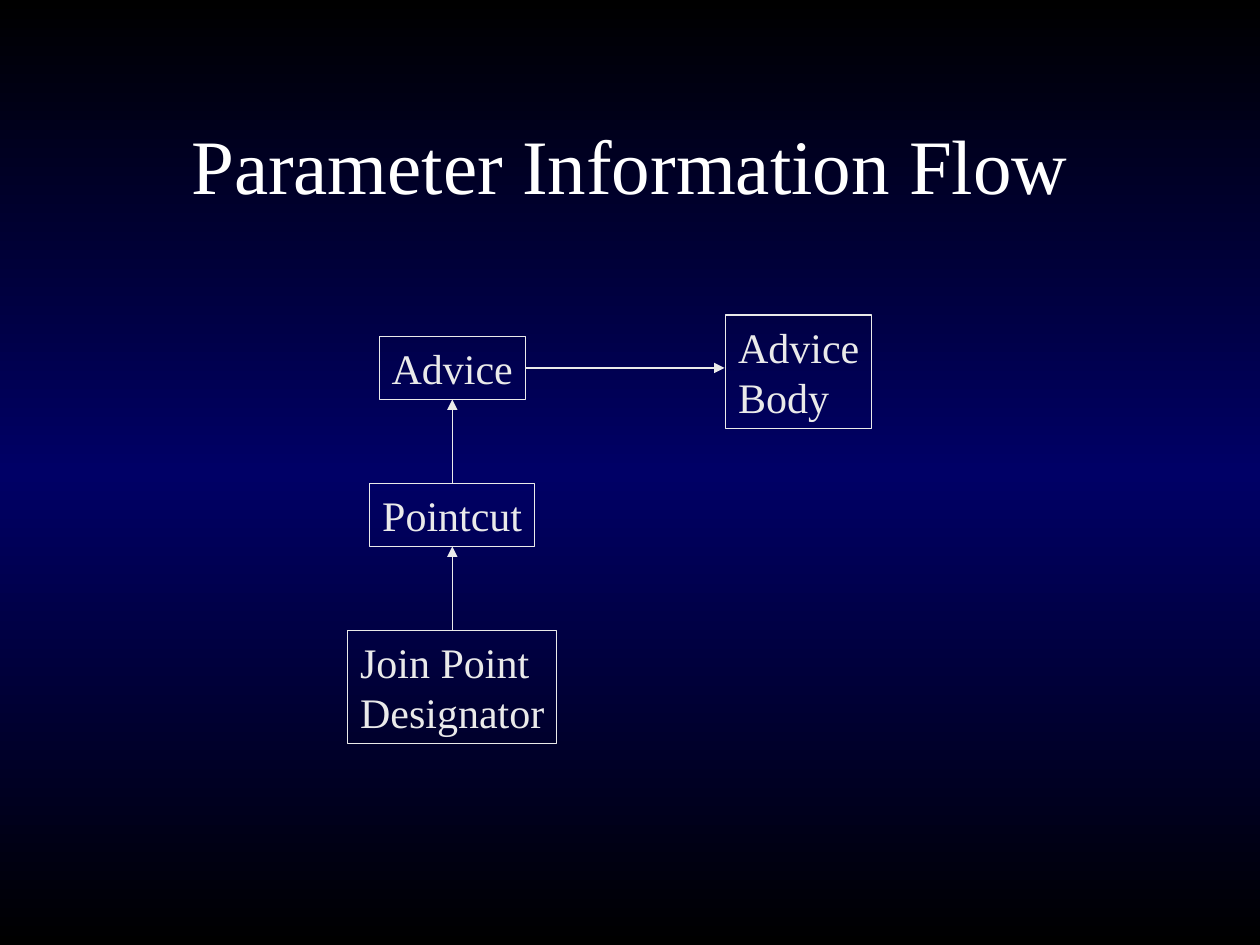
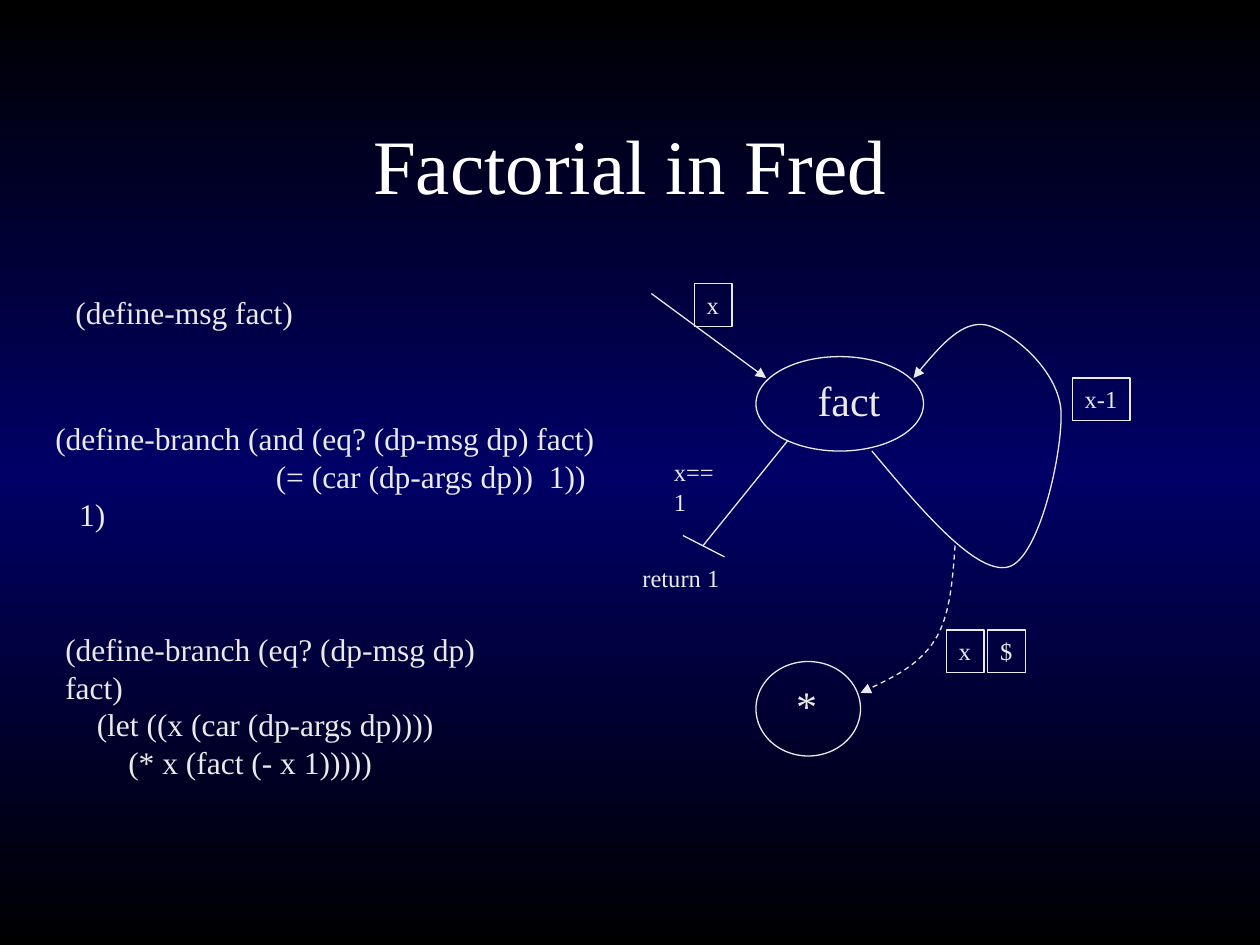
"""Build two slides on parameter flow and on a factorial written in Fred."""
from copy import deepcopy
from dataclasses import dataclass

from lxml.etree import SubElement
from pptx import Presentation
from pptx.dml.color import RGBColor
from pptx.enum.dml import MSO_LINE_DASH_STYLE as Dash
from pptx.enum.shapes import MSO_CONNECTOR as Link, MSO_SHAPE as Preset
from pptx.enum.text import MSO_ANCHOR as Anchor, MSO_AUTO_SIZE as AutoSize, PP_ALIGN as Align
from pptx.oxml.ns import qn
from pptx.util import Inches, Pt


@dataclass(frozen=True)
class Theme:
    font: str = "Times New Roman"
    edge: RGBColor = RGBColor(0x00, 0x00, 0x00)
    middle: RGBColor = RGBColor(0x00, 0x00, 0x66)
    title: RGBColor = RGBColor(0xFF, 0xFF, 0xFF)
    ink: RGBColor = RGBColor(0xEA, 0xEA, 0xEA)
    title_size: int = 44
    node_size: int = 24
    code_size: int = 18
    tag_size: int = 14
    line: float = 0.75


THEME = Theme()
TITLE_AREA = (0.75, 0.67, 8.5, 1.25)

FLOW_TITLE = "Parameter Information Flow"
FLOW_CENTER, FLOW_TOP, FLOW_STEP = 3.59, 2.67, 7 / 6
FLOW_COLUMN = [
    (["Advice"], 1.16, 0.5),
    (["Pointcut"], 1.31, 0.5),
    (["Join Point", "Designator"], 1.66, 0.9),
]
ADVICE_BODY = (["Advice", "Body"], (5.76, 2.5, 1.16, 0.9))
BODY_ENTRY = (5.75, 2.92)

FACT_TITLE = "Factorial in Fred"
CODE_BLOCKS = [
    ((0.5, 2.28, 1.93, 0.4), [("(define-msg fact)", 0)]),
    ((0.34, 3.28, 4.48, 1), [
        ("(define-branch (and (eq? (dp-msg dp) fact)", 0),
        ("(= (car (dp-args dp))  1))", 1.75),
        ("1)", 0.19),
    ]),
    ((0.42, 4.95, 3.97, 1), [
        ("(define-branch (eq? (dp-msg dp) fact)", 0),
        ("(let ((x (car (dp-args dp))))", 0.25),
        ("(* x (fact (- x 1)))))", 0.5),
    ]),
]
STATES = [
    ("fact", (6, 2.83, 1.33, 0.75), (6.39, 2.92, 0.7, 0.5)),
    ("*", (6, 5.25, 0.83, 0.75), (6.22, 5.34, 0.36, 0.5)),
]
NOTES = [("return 1", (5, 4.42, 0.81, 0.34)), ("x==1", (5.25, 3.58, 0.61, 0.34))]
ARGUMENTS = [
    ("x", (5.51, 2.25, 0.3, 0.34)),
    ("x-1", (8.51, 3, 0.46, 0.34)),
    ("x", (7.51, 5, 0.3, 0.34)),
    ("$", (7.84, 5, 0.3, 0.34)),
]
STRAIGHT_LINES = [
    ((5.17, 2.33), (6.08, 3), True),
    ((6.25, 3.5), (5.58, 4.33), False),
    ((5.42, 4.25), (5.75, 4.42), False),
]
RECURSION_LOOP = [
    (6.92, 3.58), (7.33, 4.07), (7.75, 4.56), (8, 4.5), (8.25, 4.44), (8.44, 3.57),
    (8.42, 3.25), (8.39, 2.93), (8.03, 2.63), (7.83, 2.58), (7.64, 2.54), (7.44, 2.77), (7.25, 3),
]
MULTIPLY_BRANCH = [
    (7.58, 4.33), (7.56, 4.61), (7.54, 4.89), (7.42, 5.08),
    (7.29, 5.28), (7.06, 5.39), (6.83, 5.5),
]


def inches(values):
    return [Inches(value) for value in values]


def write(box, lines, size=THEME.node_size, color=THEME.ink, align=Align.LEFT,
          anchor=Anchor.TOP, wrap=False):
    frame = box.text_frame
    frame.word_wrap = wrap
    frame.auto_size = AutoSize.NONE if wrap else AutoSize.SHAPE_TO_FIT_TEXT
    frame.vertical_anchor = anchor
    for index, (text, indent) in enumerate(lines):
        para = frame.add_paragraph() if index else frame.paragraphs[0]
        para.alignment = align
        if indent:
            properties = para._p.get_or_add_pPr()
            properties.set("marL", str(Inches(indent)))
            properties.set("indent", "0")
        span = para.add_run()
        span.text = text
        span.font.name = THEME.font
        span.font.size = Pt(size)
        span.font.color.rgb = color


def add_label(page, area, lines, **style):
    write(page.shapes.add_textbox(*inches(area)), lines, **style)


def draw_line(shape, arrow=False, dashed=False):
    shape.line.color.rgb = THEME.ink
    shape.line.width = Pt(THEME.line)
    if dashed:
        shape.line.dash_style = Dash.DASH
    properties = shape.element.spPr
    if arrow:
        SubElement(properties.find(qn("a:ln")), qn("a:tailEnd"), type="triangle")
    SubElement(properties, qn("a:effectLst"))


def add_outline(page, preset, area):
    shape = page.shapes.add_shape(preset, *inches(area))
    shape.fill.background()
    draw_line(shape)
    return shape


def add_box(page, area, texts, **style):
    box = add_outline(page, Preset.RECTANGLE, area)
    write(box, [(text, 0) for text in texts], **style)
    return box


def add_line(page, start, end, arrow=True, source=None, target=None):
    line = page.shapes.add_connector(Link.STRAIGHT, *inches(start + end))
    if source:
        line.begin_connect(*source)
    if target:
        line.end_connect(*target)
    draw_line(line, arrow)


def add_curve(page, points, dashed=False):
    start, *rest = [inches(point) for point in points]
    builder = page.shapes.build_freeform(*start)
    builder.add_line_segments(rest, close=False)
    curve = builder.convert_to_shape()
    curve.fill.background()
    outline = curve.element.find(".//" + qn("a:path"))
    segments = outline.findall(qn("a:lnTo"))
    for first in range(0, len(segments), 3):
        bezier = SubElement(outline, qn("a:cubicBezTo"))
        for segment in segments[first:first + 3]:
            bezier.append(segment[0])
            outline.remove(segment)
    draw_line(curve, arrow=True, dashed=dashed)


def paint_background(master):
    fill = master.background.fill
    fill.gradient()
    fill.gradient_angle = 90
    stop_list = next(master.element.iter(qn("a:gsLst")))
    stop_list.append(deepcopy(stop_list[0]))
    colors = (THEME.edge, THEME.middle, THEME.edge)
    for index, (stop, color) in enumerate(zip(fill.gradient_stops, colors)):
        stop.position = index / 2
        stop.color.rgb = color


def add_page(deck, title):
    page = deck.slides.add_slide(deck.slide_layouts[6])
    add_label(page, TITLE_AREA, [(title, 0)], size=THEME.title_size, color=THEME.title,
              align=Align.CENTER, anchor=Anchor.MIDDLE, wrap=True)
    return page


def build_flow(deck):
    page = add_page(deck, FLOW_TITLE)
    column = []
    for row, (texts, width, height) in enumerate(FLOW_COLUMN):
        area = (FLOW_CENTER - width / 2, FLOW_TOP + row * FLOW_STEP, width, height)
        column.append(add_box(page, area, texts))
    texts, area = ADVICE_BODY
    add_box(page, area, texts)
    for upper, lower in zip(column, column[1:]):
        add_line(page, (0, 0), (0, 0), source=(lower, 0), target=(upper, 2))
    add_line(page, BODY_ENTRY, BODY_ENTRY, source=(column[0], 3))


def build_factorial(deck):
    page = add_page(deck, FACT_TITLE)
    for area, lines in CODE_BLOCKS:
        add_label(page, area, lines, size=THEME.code_size)
    for name, ring, area in STATES:
        add_outline(page, Preset.OVAL, ring)
        add_label(page, area, [(name, 0)])
    for start, end, arrow in STRAIGHT_LINES:
        add_line(page, start, end, arrow)
    add_curve(page, RECURSION_LOOP)
    add_curve(page, MULTIPLY_BRANCH, dashed=True)
    for text, area in NOTES:
        add_label(page, area, [(text, 0)], size=THEME.tag_size)
    for text, area in ARGUMENTS:
        add_box(page, area, [text], size=THEME.tag_size)


def main():
    deck = Presentation()
    deck.slide_width, deck.slide_height = Inches(10), Inches(7.5)
    paint_background(deck.slide_master)
    build_flow(deck)
    build_factorial(deck)
    deck.save("out.pptx")


if __name__ == "__main__":
    main()
